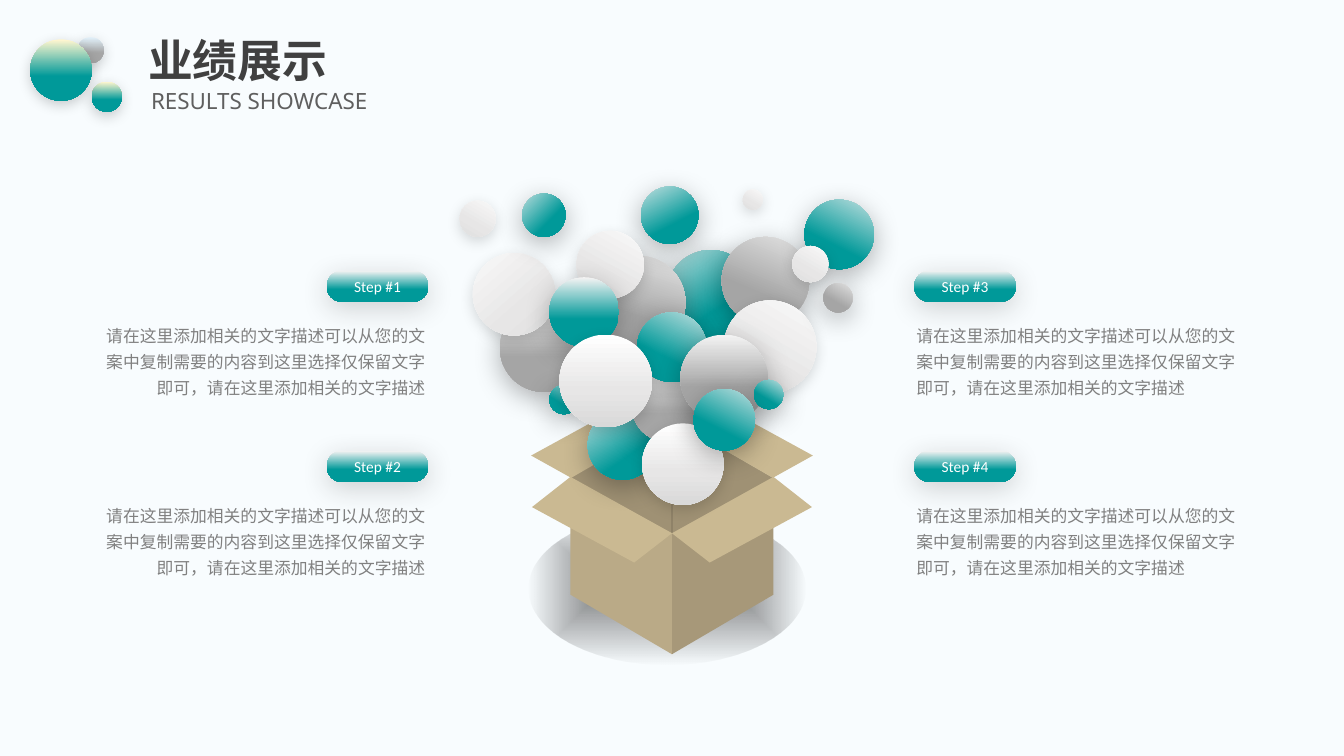
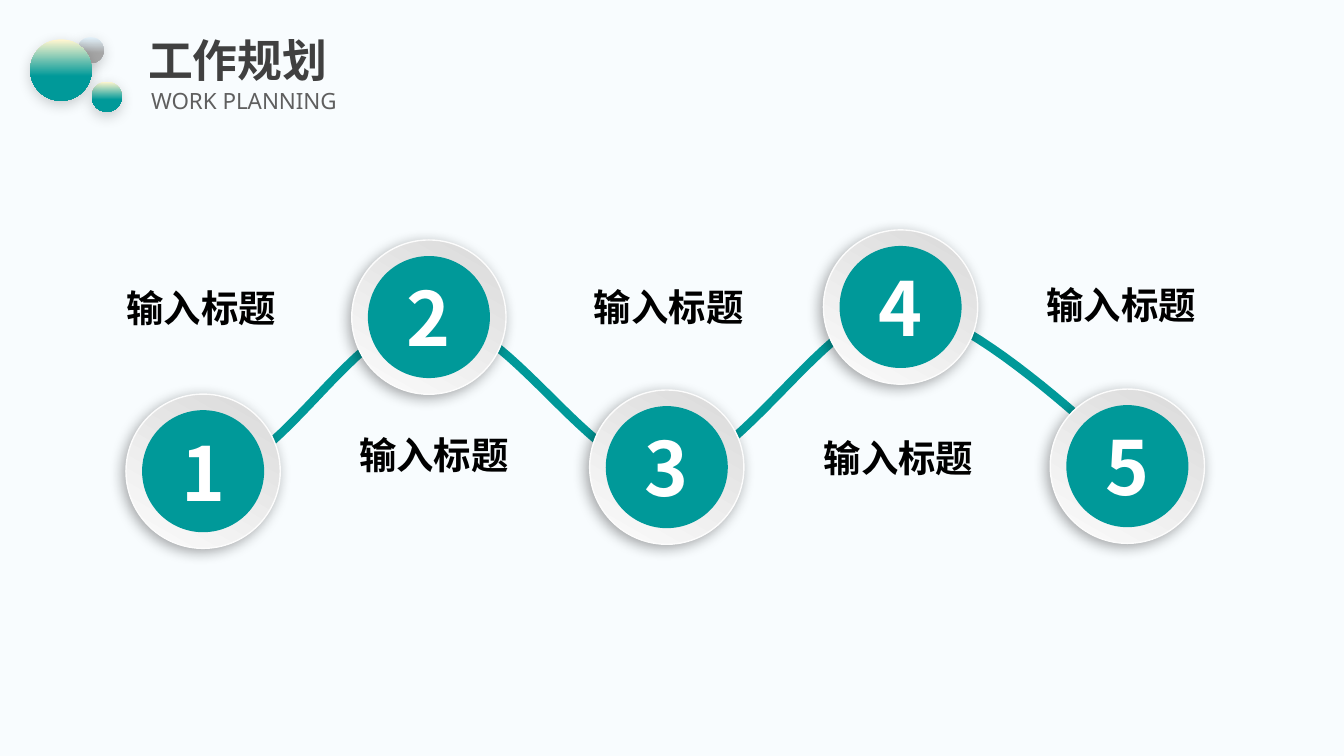
from pptx import Presentation
from pptx.dml.color import RGBColor
from pptx.enum.shapes import MSO_CONNECTOR, MSO_SHAPE
from pptx.enum.text import MSO_ANCHOR as Anchor, MSO_AUTO_SIZE as AutoSize, PP_ALIGN as Align
from pptx.oxml import parse_xml
from pptx.oxml.ns import nsdecls, qn
from pptx.util import Pt

TEAL, GREY, WHITE = "009999", "A5A5A5", "FFFFFF"
TITLE_FONT, BODY_FONT, CHINESE_FONT = "Noto Sans", "Calibri", "Noto Sans CJK SC"

# Gradient stops: position, colour and optional opacity in percent
TEAL_BALL = [(1, "F2F2F2"), (60, TEAL), (100, TEAL)]
GREY_BALL = [(1, "F2F2F2"), (60, GREY), (100, GREY)]
WHITE_BALL = [(0, WHITE), (60, "E7E6E6"), (100, "D9D9D9")]
TEAL_LOGO = [(1, "FFF6CF"), (60, TEAL), (100, TEAL)]
GREY_LOGO = [(1, "E1F0F9"), (60, GREY), (100, GREY)]
FLOOR = [(1, "000000", 50), (60, "000000", 20), (100, "000000", 0)]
RING = [(0, "D9D9D9"), (100, "FCFCFC")]

# Shadows: colour, opacity, blur, distance, direction
LOGO_SHADOW = ("000000", 20, 10, 3, 90)
BALL_SHADOW = ("000000", 30, 20, 5, 90)
WHITE_SHADOW = ("000000", 15, 10, 3, 90)
PILL_SHADOW = ("262626", 20, 20, 5, 90)
RING_SHADOW = ("000000", 34, 10, 3, 136)


def rgb(colour):
    return RGBColor.from_string(colour)


def colour_xml(colour, opacity=100):
    return f'<a:srgbClr val="{colour}"><a:alpha val="{opacity * 1000}"/></a:srgbClr>'


class Deck:
    def __init__(self):
        self.presentation = Presentation()
        self.presentation.slide_width = Pt(960)
        self.presentation.slide_height = Pt(540)
        background = self.presentation.slide_master.background.fill
        background.solid()
        background.fore_color.rgb = rgb("F8FCFE")
        self.slide = None

    def add_slide(self, title, subtitle):
        """Start a slide with the shared bubbles, title and subtitle."""
        layout = self.presentation.slide_layouts[5]
        self.slide = self.presentation.slides.add_slide(layout)
        for x, y, size, stops in [(55.4, 26.6, 18.7, GREY_LOGO),
                                  (65.5, 58.3, 21.6, TEAL_LOGO),
                                  (21.6, 28.1, 43.9, TEAL_LOGO)]:
            self.shape(x, y, size, size, stops, shadow=LOGO_SHADOW)
        heading = self.slide.shapes.title
        heading.left, heading.top = Pt(98.6), Pt(23.8)
        heading.width, heading.height = Pt(828), Pt(42.5)
        self.set_text(heading, title, 32, "404040", TITLE_FONT, bold=True,
                      spacing=0.9)
        self.text(100.8, 60.5, 660, 24.5, subtitle, 16, "5F5F5F", TITLE_FONT,
                  spacing=0.9)

    def set_text(self, shape, text, size, colour, font, bold=False,
                 align=Align.LEFT, spacing=1.0, inset=None):
        frame = shape.text_frame
        frame.text = text
        frame.word_wrap = True
        frame.auto_size = AutoSize.NONE
        frame.vertical_anchor = Anchor.MIDDLE
        if inset is not None:
            frame.margin_left = frame.margin_right = Pt(inset)
            frame.margin_top = frame.margin_bottom = Pt(inset)
        paragraph = frame.paragraphs[0]
        paragraph.alignment = align
        paragraph.line_spacing = spacing
        paragraph.font.size = Pt(size)
        paragraph.font.bold = bold
        paragraph.font.name = font
        paragraph.font.color.rgb = rgb(colour)
        east_asian = parse_xml(f'<a:ea {nsdecls("a")} typeface="{CHINESE_FONT}"/>')
        defaults = paragraph._p.pPr.find(qn("a:defRPr"))
        defaults.find(qn("a:latin")).addnext(east_asian)

    def text(self, x, y, width, height, text, size, colour, font, **style):
        box = self.slide.shapes.add_textbox(Pt(x), Pt(y), Pt(width), Pt(height))
        self.set_text(box, text, size, colour, font, **style)

    def shape(self, x, y, width, height, fill, kind=MSO_SHAPE.OVAL, angle=90,
              rotation=0, shadow=None, line=None):
        """Add a preset shape; fill is a colour or a list of gradient stops."""
        shape = self.slide.shapes.add_shape(kind, Pt(x), Pt(y), Pt(width), Pt(height))
        shape.rotation = rotation
        if isinstance(fill, str):
            shape.fill.solid()
            shape.fill.fore_color.rgb = rgb(fill)
        else:
            self.gradient(shape, fill, angle)
        if line:
            shape.line.color.rgb = rgb(line)
            shape.line.width = Pt(1)
        else:
            shape.line.fill.background()
        shape.shadow.inherit = False
        if shadow:
            self.cast(shape, *shadow)
        return shape

    def gradient(self, shape, stops, angle):
        """Fill linearly, or from the centre outwards when angle is None."""
        stops_xml = "".join(f'<a:gs pos="{position * 1000}">{colour_xml(*colour)}</a:gs>'
                            for position, *colour in stops)
        if angle is None:
            direction = ('<a:path path="shape"><a:fillToRect l="50000" t="50000" '
                         'r="50000" b="50000"/></a:path>')
        else:
            direction = f'<a:lin ang="{angle * 60000}" scaled="0"/>'
        gradient = parse_xml(f'<a:gradFill {nsdecls("a")} rotWithShape="1">'
                             f'<a:gsLst>{stops_xml}</a:gsLst>{direction}</a:gradFill>')
        shape._element.spPr.find(qn("a:prstGeom")).addnext(gradient)

    def cast(self, shape, colour, opacity, blur, distance, direction):
        """Add an outer shadow."""
        shadow = parse_xml(
            f'<a:outerShdw {nsdecls("a")} blurRad="{Pt(blur)}" dist="{Pt(distance)}" '
            f'dir="{direction * 60000}" algn="ctr" rotWithShape="0">'
            f'{colour_xml(colour, opacity)}</a:outerShdw>')
        shape._element.spPr.find(qn("a:effectLst")).append(shadow)

    def outline(self, points, fill=None, line=None, width=1):
        """Add a filled polygon, or an open line when there is no fill."""
        start, *rest = [(Pt(x), Pt(y)) for x, y in points]
        builder = self.slide.shapes.build_freeform(*start)
        builder.add_line_segments(rest, close=fill is not None)
        shape = builder.convert_to_shape()
        shape.shadow.inherit = False
        if fill:
            shape.fill.solid()
            shape.fill.fore_color.rgb = rgb(fill)
            shape.line.fill.background()
        else:
            shape.fill.background()
            shape.line.color.rgb = rgb(line)
            shape.line.width = Pt(width)

    def line(self, x1, y1, x2, y2, colour, width):
        connector = self.slide.shapes.add_connector(
            MSO_CONNECTOR.STRAIGHT, Pt(x1), Pt(y1), Pt(x2), Pt(y2))
        connector.line.color.rgb = rgb(colour)
        connector.line.width = Pt(width)
        connector._element.spPr.append(parse_xml(f'<a:effectLst {nsdecls("a")}/>'))

    def step(self, number, pill_x, text_x, y, align):
        """Add a step pill with its description below."""
        self.text(text_x, y + 32.8, 242, 60.5, DESCRIPTION, 12, "808080", BODY_FONT,
                  align=align, spacing=1.3, inset=2.2)
        pill = self.shape(pill_x, y, 72.7, 22.3, TEAL_BALL,
                          MSO_SHAPE.ROUNDED_RECTANGLE, shadow=PILL_SHADOW)
        pill.adjustments[0] = 0.5
        self.set_text(pill, f"Step #{number}", 11, WHITE, BODY_FONT, align=Align.CENTER)

    def node(self, number, x, y):
        """Add a numbered disc inside a ring."""
        ring, disc = 110.2, 87.2
        margin = (ring - disc) / 2
        self.shape(x, y, ring, ring, RING, angle=120, shadow=RING_SHADOW, line="FCFCFC")
        badge = self.shape(x + margin, y + margin, disc, disc, TEAL)
        self.set_text(badge, str(number), 53.3, WHITE, CHINESE_FONT, bold=True,
                      align=Align.CENTER, inset=0)


DESCRIPTION = ("请在这里添加相关的文字描述可以从您的文案中复制需要的内容"
               "到这里选择仅保留文字即可，请在这里添加相关的文字描述")

# Box parts: points as distance from the centre line, and height on the slide
CENTRE = 480
BACK_FLAP = [(-72, 341.3), (-100.6, 325.4), (-27, 285.1), (0.5, 299.5)]
FACE = [(0, 467.3), (0, 380.9), (-72.5, 341.3), (-72.5, 424.8)]
FRONT_FLAP = [(-72.5, 340.6), (-100, 362.2), (-27, 401.8), (0, 380.9)]

# Balls from back to front: left, top, size, rotation, stops
BALLS = [
    (475.9, 178.6, 63.4, -34.4, TEAL_BALL), (357.1, 217.4, 62.6, 0, GREY_BALL),
    (515.5, 169.2, 62.6, 22.7, GREY_BALL), (392.4, 275, 20.9, 30.6, TEAL_BALL),
    (574.6, 142.6, 49.7, 26.6, TEAL_BALL), (337.7, 180.7, 59, -41.1, WHITE_BALL),
    (423.4, 182.9, 66.2, 18.2, GREY_BALL), (517, 214.6, 66.2, 30.6, WHITE_BALL),
    (419.8, 293, 49.7, -34.4, TEAL_BALL), (451.4, 265.7, 49.7, 0, GREY_BALL),
    (458.6, 302.4, 58.3, 0, WHITE_BALL), (455, 223.2, 49.7, 26.6, TEAL_BALL),
    (457.9, 133.2, 41, -27.5, TEAL_BALL), (373, 138.2, 31, -45, TEAL_BALL),
    (328.3, 143.3, 25.9, 30.6, WHITE_BALL), (588.2, 202.3, 20.9, 30.6, GREY_BALL),
    (530.6, 135.4, 14.4, 30.6, WHITE_BALL), (565.9, 175.7, 25.9, 30.6, WHITE_BALL),
    (486, 239, 62.6, 0, GREY_BALL), (538.6, 271.4, 20.9, 30.6, TEAL_BALL),
    (411.8, 164.9, 48.2, 29, WHITE_BALL), (392.4, 198, 49.7, 0, TEAL_BALL),
    (495.4, 277.9, 43.9, 27.4, TEAL_BALL), (399.6, 239, 66.2, 0, WHITE_BALL),
]

# Wave: start, then two control points and an end for each arc
WAVE_START = (150.5, 337.7)
WAVE_ARCS = [
    [(199.4, 338.4), (254.2, 226.1), (308.2, 226.1)],
    [(362.2, 226.1), (421.9, 337.7), (474.5, 338.4)],
    [(528.5, 337), (589.7, 220.3), (643, 219.6)],
    [(694.8, 219.6), (807.1, 331.9), (807.1, 330.5)],
]
NODES = [(90, 281.5), (251.3, 171.4), (421.2, 278.6), (588.2, 164.2), (750.2, 277.9)]
LABELS = [(49.7, 200.2), (216, 304.6), (383.8, 199.4), (547.9, 306.7), (707, 198)]


def mirrored_pair(deck, points, left_fill, right_fill):
    for side, fill in [(-1, right_fill), (1, left_fill)]:
        deck.outline([(CENTRE + side * x, y) for x, y in points], fill)


def wave_points(steps=24):
    points = [WAVE_START]
    for first, second, end in WAVE_ARCS:
        start = points[-1]
        for step in range(1, steps + 1):
            t = step / steps
            points.append(tuple(
                (1 - t) ** 3 * a + 3 * (1 - t) ** 2 * t * b + 3 * (1 - t) * t ** 2 * c + t ** 3 * d
                for a, b, c, d in zip(start, first, second, end)))
    return points


def results_slide(deck):
    deck.add_slide("业绩展示", "RESULTS SHOWCASE")
    # Open box
    deck.shape(377.3, 366.5, 198, 108, FLOOR, angle=None)
    deck.outline([(407.5, 341.3), (437.8, 320.4), (480, 299.5), (552.2, 341.3),
                  (479.5, 385.9)], "9F9174")
    mirrored_pair(deck, BACK_FLAP, "CAB992", "CAB992")
    deck.line(CENTRE, 467.3, CENTRE, 299.5, "8F8268", 1)
    mirrored_pair(deck, FACE, "BAAA87", "A79879")
    mirrored_pair(deck, FRONT_FLAP, "CAB992", "CAB992")
    # Steps, two on each side
    columns = [(233.3, 64.1, Align.RIGHT), (653, 652.3, Align.LEFT)]
    for index in range(4):
        pill_x, text_x, align = columns[index // 2]
        deck.step(index + 1, pill_x, text_x, 193.3 + index % 2 * 128.7, align)
    # Balls
    for x, y, size, rotation, stops in BALLS:
        shadow = WHITE_SHADOW if stops is WHITE_BALL else BALL_SHADOW
        deck.shape(x, y, size, size, stops, rotation=rotation, shadow=shadow)


def planning_slide(deck):
    deck.add_slide("工作规划", "WORK PLANNING")
    deck.outline(wave_points(), line=TEAL, width=6)
    for number, (x, y) in enumerate(NODES, 1):
        deck.node(number, x, y)
    for x, y in LABELS:
        deck.text(x, y, 188, 39.6, "输入标题", 26.7, "000000", TITLE_FONT,
                  bold=True, align=Align.CENTER)


def main():
    deck = Deck()
    results_slide(deck)
    planning_slide(deck)
    deck.presentation.save("out.pptx")


if __name__ == "__main__":
    main()
